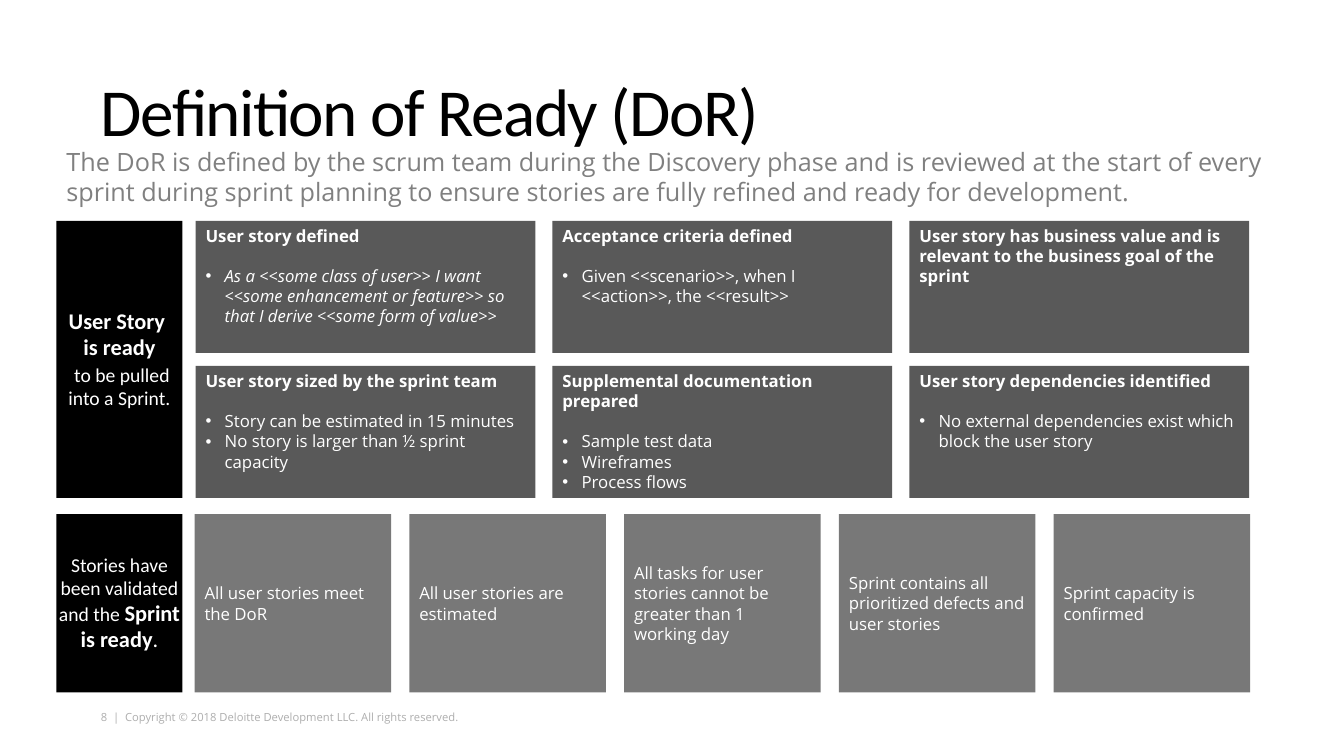
from lxml.etree import SubElement
from pptx import Presentation
from pptx.dml.color import RGBColor
from pptx.enum.shapes import MSO_SHAPE
from pptx.enum.text import MSO_ANCHOR, PP_ALIGN
from pptx.oxml.ns import qn
from pptx.util import Inches, Pt

BLACK = RGBColor(0x00, 0x00, 0x00)
WHITE = RGBColor(0xFF, 0xFF, 0xFF)
CARD_GRAY = RGBColor(0x59, 0x59, 0x59)
CHECK_GRAY = RGBColor(0x78, 0x78, 0x78)
SUBTITLE_GRAY = RGBColor(0x80, 0x80, 0x80)
FOOTER_GRAY = RGBColor(0xAE, 0xAE, 0xAE)

HEADING_FONT = "Calibri"
BODY_FONT = "Open Sans"
DEFAULT_INSETS = (0.1, 0.05, 0.1, 0.05)

STORY_CARDS = [
    [
        ("User story defined",
         ["As a <<some class of user>> I want <<some enhancement or feature>> "
          "so that I derive <<some form of value>>"], True),
        ("Acceptance criteria defined",
         ["Given <<scenario>>, when I <<action>>, the <<result>>"], False),
        ("User story has business value and is relevant to the business goal of the sprint",
         [], False),
    ],
    [
        ("User story sized by the sprint team",
         ["Story can be estimated in 15 minutes",
          "No story is larger than ½ sprint capacity"], False),
        ("Supplemental documentation prepared",
         ["Sample test data", "Wireframes", "Process flows"], False),
        ("User story dependencies identified",
         ["No external dependencies exist which block the user story"], False),
    ],
]

SPRINT_CHECKS = [
    "All user stories meet the DoR",
    "All user stories are estimated",
    "All tasks for user stories cannot be greater than 1 working day",
    "Sprint contains all prioritized defects and user stories",
    "Sprint capacity is confirmed",
]

STORY_LABEL = [
    [("User Story ", 16, True)],
    [("is ready", 16, True)],
    [(" ", 16, True), ("to be pulled into a Sprint.", 14, False)],
]
SPRINT_LABEL = [
    [("Stories have been validated and the ", 14, False),
     ("Sprint is ready", 16, True), (".", 16, False)],
]


class ReadySlide:
    def __init__(self, deck):
        self.page = deck.slides.add_slide(deck.slide_layouts[6])

    def set_frame(self, box, insets, anchor, wrap=True):
        frame = box.text_frame
        frame.word_wrap = wrap
        frame.vertical_anchor = anchor
        (frame.margin_left, frame.margin_top,
         frame.margin_right, frame.margin_bottom) = map(Inches, insets)
        return frame

    def add_span(self, para, text, size, color=WHITE, font=BODY_FONT, bold=False, italic=False):
        span = para.add_run()
        span.text = text
        span.font.name = font
        span.font.size = Pt(size)
        span.font.color.rgb = color
        span.font.bold = bold
        span.font.italic = italic
        return span

    def add_text(self, place, text, size, color, font=BODY_FONT, insets=DEFAULT_INSETS, wrap=True):
        box = self.page.shapes.add_textbox(*map(Inches, place))
        frame = self.set_frame(box, insets, MSO_ANCHOR.TOP, wrap)
        para = frame.paragraphs[0]
        return para, self.add_span(para, text, size, color, font)

    def add_title(self, place, text):
        para, span = self.add_text(place, text, 48, BLACK, HEADING_FONT, (0, 0.05, 0.1, 0))
        para.line_spacing = 0.8
        span.font._element.set("spc", "-100")

    def add_panel(self, place, fill, insets=DEFAULT_INSETS, anchor=MSO_ANCHOR.MIDDLE):
        panel = self.page.shapes.add_shape(MSO_SHAPE.RECTANGLE, *map(Inches, place))
        panel.shadow.inherit = False
        panel.fill.solid()
        panel.fill.fore_color.rgb = fill
        panel.line.fill.background()
        frame = self.set_frame(panel, insets, anchor)
        frame.paragraphs[0].alignment = PP_ALIGN.LEFT
        return frame

    def add_label(self, place, lines):
        frame = self.add_panel(place, BLACK, (0, 0.05, 0, 0.05))
        for index, line in enumerate(lines):
            para = frame.add_paragraph() if index else frame.paragraphs[0]
            para.alignment = PP_ALIGN.CENTER
            para.line_spacing = 0.98
            for text, size, bold in line:
                self.add_span(para, text, size, font=HEADING_FONT, bold=bold)

    def add_bullet(self, frame, text, italic, gap):
        para = frame.add_paragraph()
        properties = para._p.get_or_add_pPr()
        properties.set("marL", str(Inches(0.19)))
        properties.set("indent", str(-Inches(0.19)))
        SubElement(properties, qn("a:buFont")).set("typeface", "Arial")
        SubElement(properties, qn("a:buChar")).set("char", "•")
        para.alignment = PP_ALIGN.LEFT
        para.space_before = Pt(gap)
        self.add_span(para, text, 12, italic=italic)

    def add_card(self, place, heading, bullets, italic):
        frame = self.add_panel(place, CARD_GRAY, anchor=MSO_ANCHOR.TOP)
        self.add_span(frame.paragraphs[0], heading, 12, bold=True)
        for index, bullet in enumerate(bullets):
            self.add_bullet(frame, bullet, italic, 0 if index else 14.3)

    def add_check(self, place, text):
        frame = self.add_panel(place, CHECK_GRAY)
        self.add_span(frame.paragraphs[0], text, 12)


def main():
    deck = Presentation()
    deck.slide_width = Inches(13.33)
    deck.slide_height = Inches(7.5)
    slide = ReadySlide(deck)

    slide.add_text((1, 7.05, 3.66, 0.13),
                   "8  |  Copyright © 2018 Deloitte Development LLC. All rights reserved.",
                   8, FOOTER_GRAY, insets=(0, 0, 0, 0), wrap=False)
    slide.add_title((1, 0.79, 11.33, 0.96), "Definition of Ready (DoR)")
    slide.add_text((0.56, 1.4, 12.11, 0.71),
                   "The DoR is defined by the scrum team during the Discovery phase and is "
                   "reviewed at the start of every sprint during sprint planning to ensure "
                   "stories are fully refined and ready for development.",
                   18, SUBTITLE_GRAY)

    slide.add_label((0.56, 2.19, 1.25, 2.75), STORY_LABEL)
    for row, cards in enumerate(STORY_CARDS):
        for column, card in enumerate(cards):
            slide.add_card((1.94 + 3.54 * column, 2.19 + 1.44 * row, 3.37, 1.31), *card)

    slide.add_label((0.56, 5.1, 1.25, 1.77), SPRINT_LABEL)
    for column, check in enumerate(SPRINT_CHECKS):
        slide.add_check((1.93 + 2.13 * column, 5.1, 1.95, 1.77), check)

    deck.save("out.pptx")


if __name__ == "__main__":
    main()
